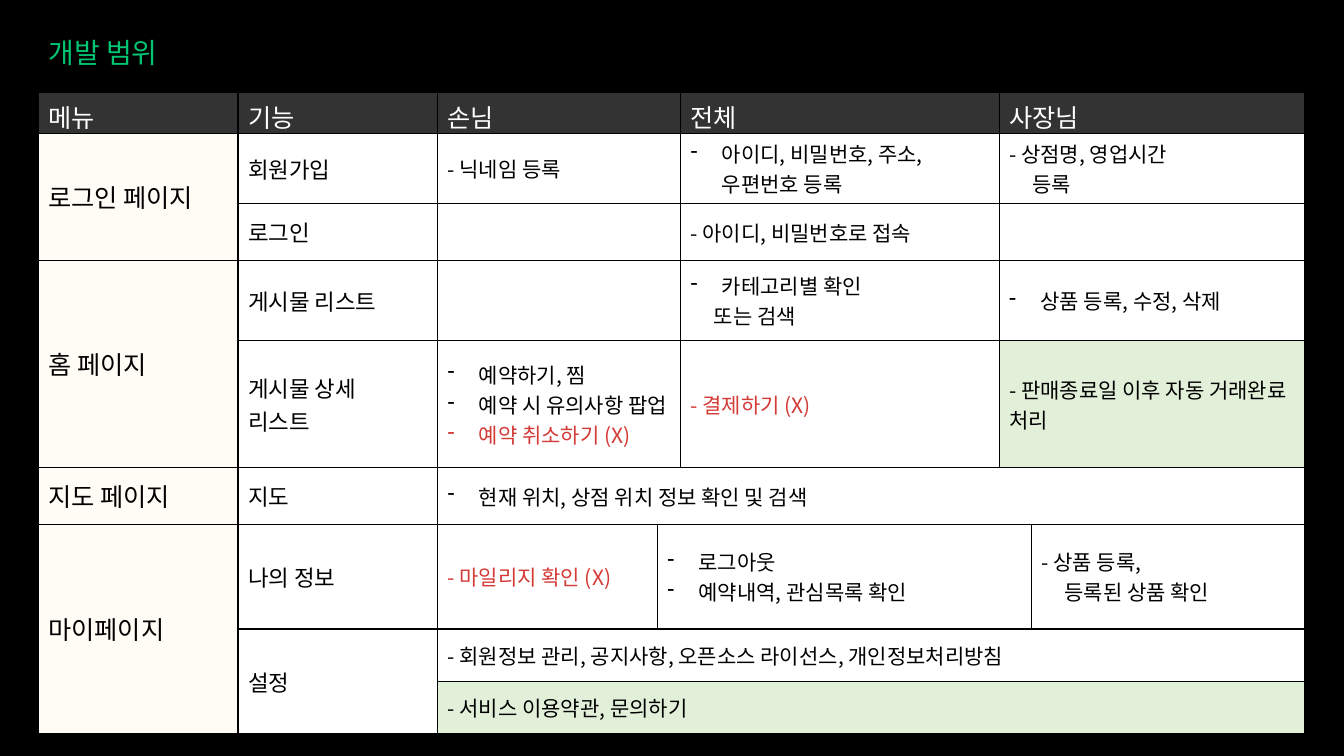
import pptx
import pptx.dml.color
import pptx.enum.text
import pptx.oxml
import pptx.oxml.ns
import pptx.util
from lxml import etree

Inches, Pt = pptx.util.Inches, pptx.util.Pt
RGBColor = pptx.dml.color.RGBColor
MSO_ANCHOR = pptx.enum.text.MSO_ANCHOR
qn = pptx.oxml.ns.qn

BLACK = RGBColor(0x00, 0x00, 0x00)
WHITE = RGBColor(0xFF, 0xFF, 0xFF)
GREEN = RGBColor(0x00, 0xC5, 0x72)
RED = RGBColor(0xD4, 0x3A, 0x36)
HEADER = RGBColor(0x33, 0x33, 0x33)
CREAM = RGBColor(0xFF, 0xFB, 0xF5)
PALE_GREEN = RGBColor(0xE2, 0xF0, 0xD9)
FONT = "Noto Sans CJK KR"

COLUMNS = [1.98, 1.98, 2.18, 0.23, 3.16, 0.32, 2.71]
ROWS = [0.4, 0.7, 0.56, 0.8, 1.26, 0.56, 1.04, 0.52, 0.52]
BULLET, INDENT = "• ", "> "  # line prefixes: hanging dash, plain indent
NOT_BUILT = "(X)"  # features marked so are red

# (row, column, rows spanned, columns spanned, text)
HEADINGS = [
    (0, 0, 1, 1, "메뉴"),
    (0, 1, 1, 1, "기능"),
    (0, 2, 1, 2, "손님"),
    (0, 4, 1, 1, "전체"),
    (0, 5, 1, 2, "사장님"),
]
MENUS = [
    (1, 0, 2, 1, "로그인 페이지"),
    (3, 0, 2, 1, "홈 페이지"),
    (5, 0, 1, 1, "지도 페이지"),
    (6, 0, 3, 1, "마이페이지"),
]
FUNCTIONS = [
    (1, 1, 1, 1, "회원가입"),
    (2, 1, 1, 1, "로그인"),
    (3, 1, 1, 1, "게시물 리스트"),
    (4, 1, 1, 1, "게시물 상세\n리스트"),
    (5, 1, 1, 1, "지도"),
    (6, 1, 1, 1, "나의 정보"),
    (7, 1, 2, 1, "설정"),
]
DETAILS = [
    (1, 2, 1, 2, "- 닉네임 등록"),
    (1, 4, 1, 1, "• 아이디, 비밀번호, 주소, 우편번호 등록"),
    (1, 5, 1, 2, "- 상점명, 영업시간\n> 등록"),
    (2, 2, 1, 2, ""),
    (2, 4, 1, 1, "- 아이디, 비밀번호로 접속"),
    (2, 5, 1, 2, ""),
    (3, 2, 1, 2, ""),
    (3, 4, 1, 1, "• 카테고리별 확인\n> 또는 검색"),
    (3, 5, 1, 2, "• 상품 등록, 수정, 삭제"),
    (4, 2, 1, 2, "• 예약하기, 찜\n• 예약 시 유의사항 팝업\n• 예약 취소하기 (X)"),
    (4, 4, 1, 1, "- 결제하기 (X)"),
    (5, 2, 1, 5, "• 현재 위치, 상점 위치 정보 확인 및 검색"),
    (6, 2, 1, 1, "- 마일리지 확인 (X)"),
    (6, 3, 1, 3, "• 로그아웃\n• 예약내역, 관심목록 확인"),
    (6, 6, 1, 1, "- 상품 등록,\n> 등록된 상품 확인"),
    (7, 2, 1, 5, "- 회원정보 관리, 공지사항, 오픈소스 라이선스, 개인정보처리방침"),
]
AUTOMATIC = [
    (4, 5, 1, 2, "- 판매종료일 이후 자동 거래완료 처리"),
    (8, 2, 1, 5, "- 서비스 이용약관, 문의하기"),
]


def write(p, text, *, size, color):
    r = p.add_run()
    r.text = text
    r.font.size = Pt(size)
    r.font.name = FONT
    r.font.color.rgb = color
    ea = etree.SubElement(r.font._element, qn("a:ea"))
    ea.set("typeface", FONT)


def set_indent(p, left, first=0.0, bullet=None):
    pPr = p._p.get_or_add_pPr()
    pPr.set("marL", str(Inches(left)))
    pPr.set("indent", str(Inches(first)))
    if bullet:
        etree.SubElement(pPr, qn("a:buChar")).set("char", bullet)


def set_borders(cell, color, width):
    tcPr = cell._tc.get_or_add_tcPr()
    for side in ("lnL", "lnR", "lnT", "lnB"):
        ln = etree.SubElement(tcPr, qn("a:" + side), w=str(Pt(width)))
        fill = etree.SubElement(ln, qn("a:solidFill"))
        etree.SubElement(fill, qn("a:srgbClr"), val=str(color))


class ScopeSlide:
    def __init__(self, prs):
        self.s = prs.slides.add_slide(prs.slide_layouts[6])
        self.s.background.fill.solid()
        self.s.background.fill.fore_color.rgb = BLACK

    def title(self, text, left, top, width, height):
        sp = self.s.shapes.add_textbox(*map(Inches, (left, top, width, height)))
        tf = sp.text_frame
        tf.word_wrap = True
        tf.auto_size = pptx.enum.text.MSO_AUTO_SIZE.SHAPE_TO_FIT_TEXT
        write(tf.paragraphs[0], text, size=20, color=GREEN)

    def table(self, left, top, columns, rows):
        box = map(Inches, (left, top, sum(columns), sum(rows)))
        self.tbl = self.s.shapes.add_table(len(rows), len(columns), *box).table
        for column, width in zip(self.tbl.columns, columns):
            column.width = Inches(width)
        for row, height in zip(self.tbl.rows, rows):
            row.height = Inches(height)
        for cell in self.tbl.iter_cells():
            set_borders(cell, BLACK, 1)

    def cells(self, entries, *, size, fill, color=BLACK, anchor=MSO_ANCHOR.MIDDLE):
        for row, col, height, width, text in entries:
            cell = self.tbl.cell(row, col)
            if height * width > 1:
                cell.merge(self.tbl.cell(row + height - 1, col + width - 1))
            cell.fill.solid()
            cell.fill.fore_color.rgb = fill
            cell.vertical_anchor = anchor
            for i, line in enumerate(text.splitlines()):
                tf = cell.text_frame
                p = tf.add_paragraph() if i else tf.paragraphs[0]
                if line.startswith(BULLET):
                    set_indent(p, 0.31, -0.31, "-")
                elif line.startswith(INDENT):
                    set_indent(p, 0.23)
                line = line.removeprefix(BULLET).removeprefix(INDENT)
                write(p, line, size=size, color=RED if line.endswith(NOT_BUILT) else color)


def main():
    prs = pptx.Presentation()
    prs.slide_width, prs.slide_height = Inches(13.33), Inches(7.5)
    scope = ScopeSlide(prs)
    scope.title("개발 범위", 0.38, 0.3, 12.95, 0.44)
    scope.table(0.38, 0.92, COLUMNS, ROWS)
    scope.cells(HEADINGS, size=18, fill=HEADER, color=WHITE, anchor=MSO_ANCHOR.TOP)
    scope.cells(MENUS, size=18, fill=CREAM)
    scope.cells(FUNCTIONS, size=16, fill=WHITE)
    scope.cells(DETAILS, size=15, fill=WHITE)
    scope.cells(AUTOMATIC, size=15, fill=PALE_GREEN)
    prs.save("out.pptx")


if __name__ == "__main__":
    main()
